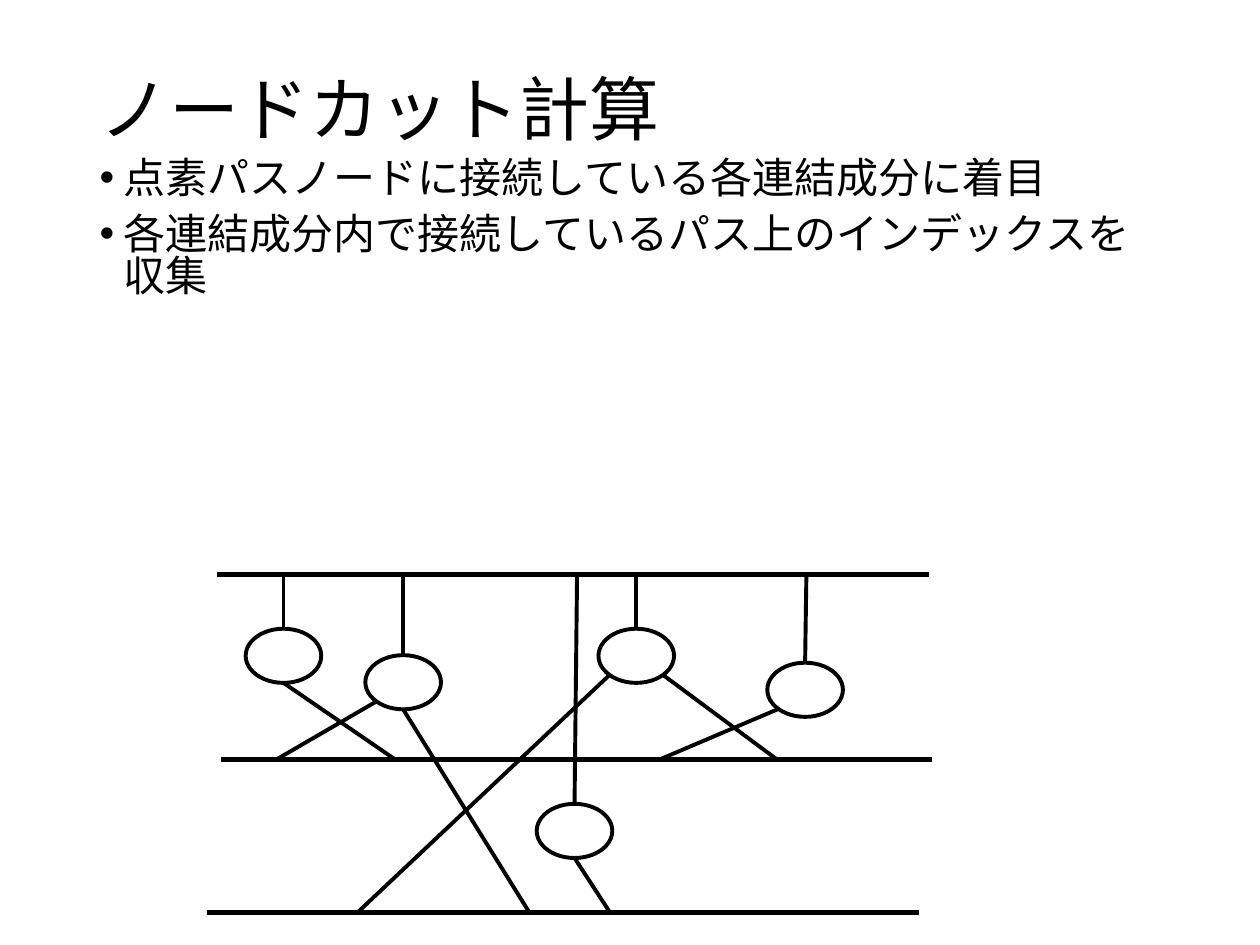
from dataclasses import dataclass
from math import sqrt

from lxml.etree import SubElement
from pptx import Presentation
from pptx.dml.color import RGBColor as Rgb
from pptx.enum.shapes import MSO_CONNECTOR as Link, MSO_SHAPE as Kind
from pptx.enum.text import MSO_ANCHOR as Anchor, MSO_AUTO_SIZE as Fit, PP_ALIGN as Align
from pptx.oxml.ns import qn
from pptx.util import Inches, Pt

FONT = "Noto Sans CJK JP"
INK = "000000"
WIDE, HIGH = 0.6, 0.43
TOP, MID, LOW = 4.56, 6.03, 7.24
SPAN = 5.65


@dataclass
class Rail:
    left: float
    y: float


@dataclass
class Leg:
    side: int
    x: float
    y: float


@dataclass
class Node:
    x: float
    y: float
    top: float
    legs: list[Leg]


RAILS = [Rail(1.72, TOP), Rail(1.75, MID), Rail(1.64, LOW)]
NODES = [
    Node(2.25, 4.99, 2.25, [Leg(0, 3.14, MID)]),
    Node(3.2, 5.2, 3.2, [Leg(-1, 2.19, MID), Leg(0, 4.2, LOW)]),
    Node(5.05, 4.99, 5.05, [Leg(-1, 2.84, LOW), Leg(1, 6.17, MID)]),
    Node(6.39, 5.26, 6.4, [Leg(-1, 5.23, MID)]),
    Node(4.56, 6.38, 4.58, [Leg(0, 4.84, LOW)]),
]


def tint(form, color: str) -> None:
    form.rgb = Rgb.from_string(color)


def place(shape, left: float, top: float, width: float, height: float) -> None:
    shape.left, shape.top = Inches(left), Inches(top)
    shape.width, shape.height = Inches(width), Inches(height)


def write(shape, *texts: str, size: float, space: float, gap: float = 0,
          bullet: str = "", anchor=Anchor.TOP) -> None:
    frame = shape.text_frame
    frame.text = "\n".join(texts)
    frame.word_wrap = True
    frame.auto_size = Fit.NONE
    frame.vertical_anchor = anchor
    for spot, para in enumerate(frame.paragraphs):
        para.alignment = Align.LEFT
        para.line_spacing = space
        para.space_before = Pt(gap if spot else 0)
        if bullet:
            props = para._p.get_or_add_pPr()
            props.set("marL", str(Inches(0.19)))
            props.set("indent", str(-Inches(0.19)))
            SubElement(props, qn("a:buFont")).set("typeface", "Arial")
            SubElement(props, qn("a:buChar")).set("char", bullet)
        for run in para.runs:
            run.font.size = Pt(size)
            run.font.name = FONT
            tint(run.font.color, INK)
            SubElement(run._r.get_or_add_rPr(), qn("a:ea")).set("typeface", FONT)


def draw(slide, x: float, y: float, end: float, foot: float, width: float = 2.25):
    line = slide.shapes.add_connector(
        Link.STRAIGHT, Inches(x), Inches(y), Inches(end), Inches(foot))
    tint(line.line.color, INK)
    line.line.width = Pt(width)
    SubElement(line._element.spPr, qn("a:effectLst"))
    return line


def add_node(slide, node: Node) -> None:
    oval = slide.shapes.add_shape(
        Kind.OVAL, Inches(node.x - WIDE / 2), Inches(node.y), Inches(WIDE), Inches(HIGH))
    oval.shadow.inherit = False
    oval.fill.background()
    tint(oval.line.color, INK)
    oval.line.width = Pt(2.25)
    draw(slide, node.x, node.y, node.top, TOP).begin_connect(oval, 0)
    for leg in node.legs:
        drop = 1 / sqrt(2) if leg.side else 1
        x = node.x + leg.side * drop * WIDE / 2
        y = node.y + (1 + drop) * HIGH / 2
        draw(slide, x, y, leg.x, leg.y)


def main() -> None:
    deck = Presentation()
    deck.slide_width, deck.slide_height = Inches(10), Inches(7.5)
    slide = deck.slides.add_slide(deck.slide_layouts[1])
    title, body = slide.placeholders
    place(title, 0.69, 0.4, 8.62, 0.99)
    write(title, "ノードカット計算", size=40, space=0.9, anchor=Anchor.MIDDLE)
    place(body, 0.69, 1.22, 8.62, 2.53)
    write(body, "点素パスノードに接続している各連結成分に着目",
          "各連結成分内で接続しているパス上のインデックスを収集",
          size=24, space=0.84, gap=7.5, bullet="•")
    for rail in RAILS:
        draw(slide, rail.left, rail.y, rail.left + SPAN, rail.y, width=2.75)
    for node in NODES:
        add_node(slide, node)
    deck.save("out.pptx")


if __name__ == "__main__":
    main()
